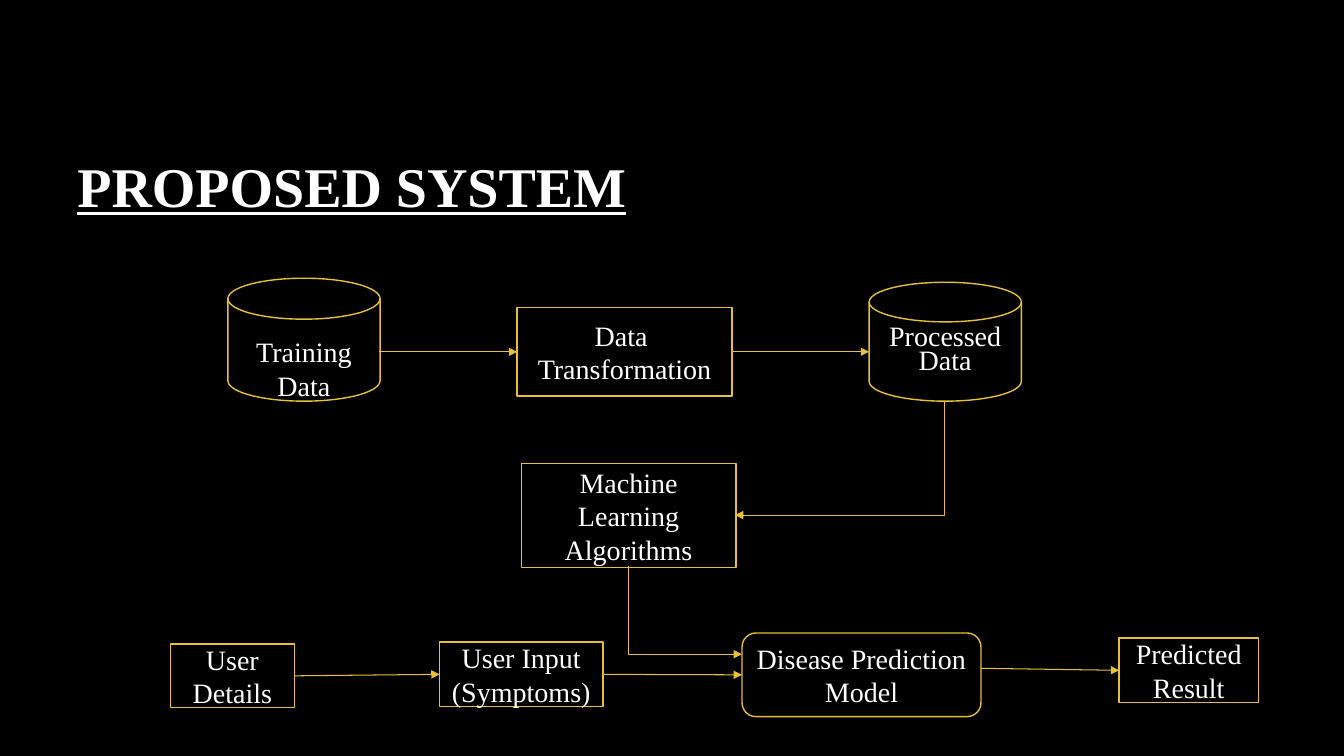
from dataclasses import dataclass

from lxml import etree
from pptx import Presentation
from pptx.dml.color import RGBColor
from pptx.enum.shapes import MSO_CONNECTOR, MSO_SHAPE
from pptx.enum.text import MSO_ANCHOR, MSO_AUTO_SIZE, PP_ALIGN
from pptx.oxml.ns import qn
from pptx.util import Inches, Pt

RECT = MSO_SHAPE.RECTANGLE
ROUND = MSO_SHAPE.ROUNDED_RECTANGLE
DISK = MSO_SHAPE.FLOWCHART_MAGNETIC_DISK
STRAIGHT, ELBOW = MSO_CONNECTOR.STRAIGHT, MSO_CONNECTOR.ELBOW
MIDDLE = MSO_ANCHOR.MIDDLE
CENTER, RIGHT = PP_ALIGN.CENTER, PP_ALIGN.RIGHT
FIXED = MSO_AUTO_SIZE.NONE
LEFT_SIDE, RIGHT_SIDE = 1, 3


@dataclass(frozen=True)
class Theme:
    back: RGBColor = RGBColor(0, 0, 0)
    ink: RGBColor = RGBColor(255, 255, 255)
    gold: RGBColor = RGBColor(0xE9, 0xBF, 0x35)
    font: str = "Times New Roman"
    head: int = 40
    label: int = 20
    edge: float = 1
    arrow: float = 0.75


def write(frame, words, theme, size, align=CENTER, space=1, bold=False, under=False, top=0.05):
    frame.word_wrap = True
    frame.auto_size = FIXED
    frame.vertical_anchor = MIDDLE
    frame.margin_top = Inches(top)
    para = frame.paragraphs[0]
    para.alignment = align
    para.line_spacing = space
    para.space_before = Pt(0)
    for i, line in enumerate(words.split("\n")):
        if i:
            para.add_line_break()
        run = para.add_run()
        run.text = line
        font = run.font
        font.name, font.size = theme.font, Pt(size)
        font.bold, font.underline = bold, under
        font.color.rgb = theme.ink
    return para


class Board:
    def __init__(self, slide, theme):
        self.slide, self.theme = slide, theme
        fill = slide.background.fill
        fill.solid()
        fill.fore_color.rgb = theme.back

    def place(self, shape, at):
        shape.left, shape.top, shape.width, shape.height = map(Inches, at)

    def paint(self, shape):
        shape.fill.solid()
        shape.fill.fore_color.rgb = self.theme.back
        shape.line.color.rgb = self.theme.gold
        shape.line.width = Pt(self.theme.edge)

    def title(self, words, at):
        shape = self.slide.shapes.title
        self.place(shape, at)
        write(shape.text_frame, words, self.theme, self.theme.head,
              align=RIGHT, space=0.9, bold=True, under=True)

    def body(self, words, at):
        shape = self.slide.placeholders[1]
        self.place(shape, at)
        geom = etree.SubElement(shape.element.spPr, qn("a:prstGeom"), prst="flowChartMagneticDisk")
        etree.SubElement(geom, qn("a:avLst"))
        self.paint(shape)
        para = write(shape.text_frame, words, self.theme, self.theme.label, space=0.7)
        props = para._p.get_or_add_pPr()
        props.set("marL", "0")
        props.set("indent", "0")
        etree.SubElement(props, qn("a:buNone"))

    def box(self, words, at, kind=RECT, **form):
        shape = self.slide.shapes.add_shape(kind, *map(Inches, at))
        shape.shadow.inherit = False
        self.paint(shape)
        write(shape.text_frame, words, self.theme, self.theme.label, **form)
        return shape

    def link(self, kind, start, end):
        line = self.slide.shapes.add_connector(kind, *map(Inches, start + end))
        line.line.color.rgb = self.theme.gold
        line.line.width = Pt(self.theme.arrow)
        props = line.element.spPr
        etree.SubElement(props.find(qn("a:ln")), qn("a:tailEnd"), type="triangle")
        etree.SubElement(props, qn("a:effectLst"))
        return line

    def arrow(self, start, end, source=None, target=None):
        line = self.link(STRAIGHT, start, end)
        if source is not None:
            line.begin_connect(source, RIGHT_SIDE)
        if target is not None:
            line.end_connect(target, LEFT_SIDE)

    def bend(self, start, end):
        (x1, y1), (x2, y2) = start, end
        wide, high = y2 - y1, abs(x2 - x1)
        left, top = (x1 + x2 - wide) / 2, (y1 + y2 - high) / 2
        ends = [left, left + wide]
        turn = 90
        if x2 > x1:
            ends.reverse()
            turn = 270
        line = self.link(ELBOW, (ends[0], top), (ends[1], top + high))
        props = line.element.spPr
        props.find(qn("a:xfrm")).set("rot", str(turn * 60000))
        props.find(qn("a:prstGeom")).set("prst", "bentConnector2")


def main():
    deck = Presentation()
    deck.slide_width, deck.slide_height = Inches(13.33), Inches(7.5)
    board = Board(deck.slides.add_slide(deck.slide_layouts[1]), Theme())

    board.title("PROPOSED SYSTEM", (-3.11, 1.17, 9.42, 1.41))
    board.box("Training Data", (2.26, 2.76, 1.51, 1.22), DISK, top=0.41)
    change = board.box("Data \nTransformation", (5.13, 3.05, 2.13, 0.88))
    board.body("Processed\nData", (8.62, 2.8, 1.51, 1.18))
    board.box("Machine Learning\nAlgorithms", (5.17, 4.6, 2.13, 1.03))
    user = board.box("User Details", (1.69, 6.39, 1.23, 0.63))
    entry = board.box("User Input\n(Symptoms)", (4.36, 6.37, 1.62, 0.64))
    model = board.box("Disease Prediction Model", (7.36, 6.28, 2.37, 0.83), ROUND)
    result = board.box("Predicted Result", (11.1, 6.33, 1.38, 0.64))

    board.arrow((3.76, 3.49), (5.13, 3.49), target=change)
    board.arrow((7.26, 3.49), (8.62, 3.49), source=change)
    board.bend((9.37, 3.98), (7.29, 5.11))
    board.arrow((2.92, 6.7), (4.36, 6.69), user, entry)
    board.arrow((5.97, 6.69), (7.36, 6.7), entry, model)
    board.arrow((9.73, 6.63), (11.1, 6.65), target=result)
    board.bend((6.23, 5.62), (7.36, 6.49))

    deck.save("out.pptx")


if __name__ == "__main__":
    main()
